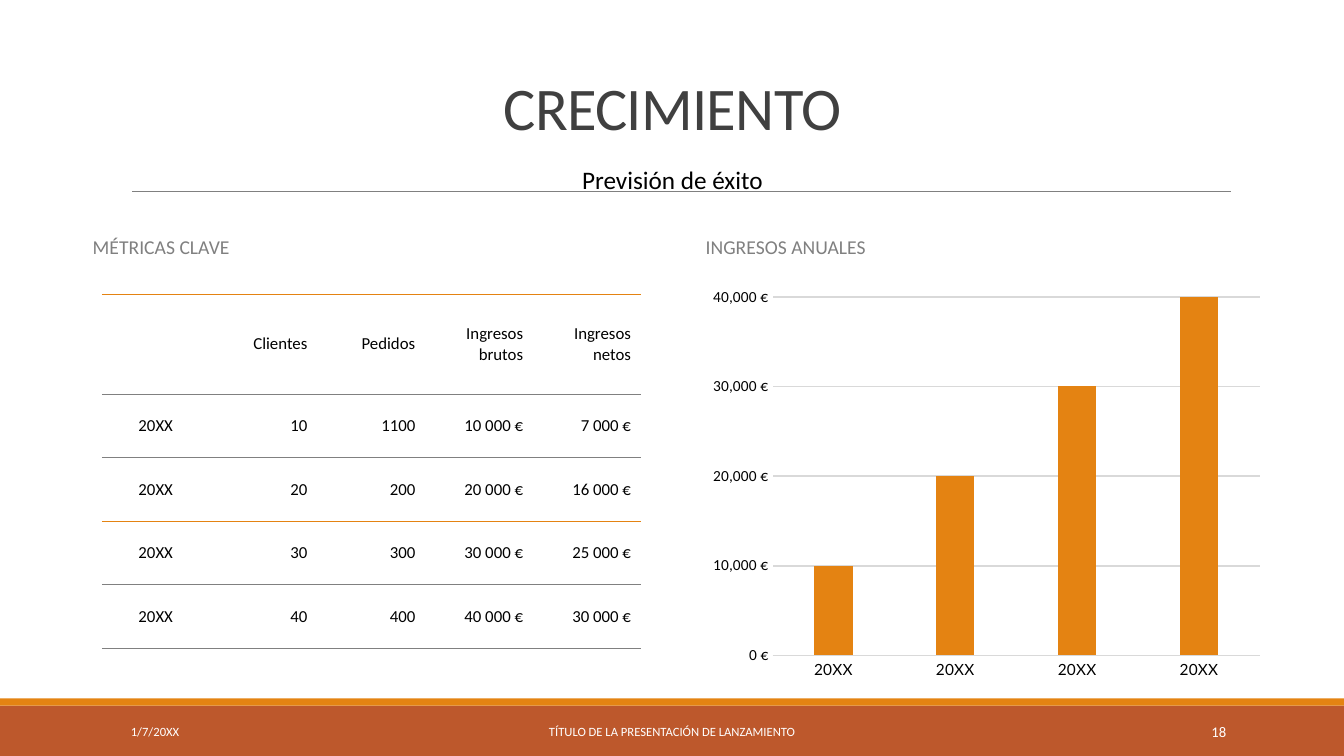
from dataclasses import dataclass
from typing import Optional, Union

from lxml.etree import SubElement
from pptx import Presentation
from pptx.chart.data import CategoryChartData as ChartData
from pptx.dml.color import RGBColor
from pptx.enum.chart import XL_CHART_TYPE as Kind, XL_TICK_MARK as Tick
from pptx.enum.shapes import MSO_CONNECTOR as Link, MSO_SHAPE as Form
from pptx.enum.text import MSO_ANCHOR as Anchor, PP_ALIGN as Align
from pptx.oxml import parse_xml
from pptx.oxml.ns import nsdecls, qn
from pptx.slide import Slide
from pptx.util import Emu, Length, Pt

PX = 9144
FONT = "Calibri"
ORANGE = RGBColor(0xE4, 0x83, 0x12)
RUST = RGBColor(0xBD, 0x58, 0x2C)
GRAY = RGBColor(0x80, 0x80, 0x80)
DARK = RGBColor(0x40, 0x40, 0x40)
PALE = RGBColor(0xD9, 0xD9, 0xD9)
BLACK = RGBColor(0, 0, 0)
WHITE = RGBColor(0xFF, 0xFF, 0xFF)


def px(num: int) -> Emu:
    """Turn px into EMU."""
    return Emu(num * PX)


@dataclass
class Bar:
    """A full-width footer bar."""
    top: int
    high: int
    color: RGBColor


@dataclass
class Label:
    """A text box with one styled paragraph."""
    text: str
    box: tuple[int, int, int, int]
    size: float
    color: RGBColor
    align: Align = Align.LEFT
    anchor: Anchor = Anchor.MIDDLE
    side: int = 10
    lead: Optional[Union[float, Length]] = None
    after: float = 0
    track: int = 0


BARS = [Bar(700, 50, RUST), Bar(693, 7, ORANGE)]
LABELS = [
    Label("CRECIMIENTO", (172, 77, 990, 70), 43.2, DARK, Align.CENTER,
          Anchor.BOTTOM, lead=0.85, track=-50),
    Label("MÉTRICAS CLAVE", (92, 219, 564, 43), 14, GRAY,
          anchor=Anchor.BOTTOM, side=0, lead=0.9, after=2),
    Label("INGRESOS ANUALES", (700, 219, 474, 43), 14, GRAY,
          anchor=Anchor.BOTTOM, side=0, lead=0.9, after=2),
    Label("1/7/20XX", (120, 706, 270, 40), 9, WHITE),
    Label("TÍTULO DE LA PRESENTACIÓN DE LANZAMIENTO", (403, 706, 527, 40),
          9, WHITE, Align.CENTER),
    Label("18", (1083, 706, 143, 40), 10.5, WHITE, Align.RIGHT),
    Label("Previsión de éxito", (172, 152, 990, 43), 18, BLACK, Align.CENTER,
          Anchor.TOP, side=0, lead=Pt(26), after=2),
]
ROWS = [
    ["", "Clientes", "Pedidos", "Ingresos brutos", "Ingresos netos"],
    ["20XX", "10", "1100", "10 000 €", "7 000 €"],
    ["20XX", "20", "200", "20 000 €", "16 000 €"],
    ["20XX", "30", "300", "30 000 €", "25 000 €"],
    ["20XX", "40", "400", "40 000 €", "30 000 €"],
]
RULES = [ORANGE, GRAY, GRAY, ORANGE, GRAY, GRAY]


def add_bar(slide: Slide, bar: Bar) -> None:
    """Draw a footer bar."""
    shape = slide.shapes.add_shape(
        Form.RECTANGLE, 0, px(bar.top), px(1333), px(bar.high))
    shape.shadow.inherit = False
    shape.fill.solid()
    shape.fill.fore_color.rgb = bar.color
    shape.line.fill.background()


def add_rule(slide: Slide) -> None:
    """Draw the line under the title."""
    rule = slide.shapes.add_connector(
        Link.STRAIGHT, px(131), px(190), px(1221), px(190))
    rule.line.color.rgb = GRAY
    rule.line.width = Pt(0.5)
    SubElement(rule._element.spPr, qn("a:effectLst"))


def add_label(slide: Slide, label: Label) -> None:
    """Draw a text box."""
    frame = slide.shapes.add_textbox(*map(px, label.box)).text_frame
    frame.word_wrap = True
    frame.vertical_anchor = label.anchor
    frame.margin_left = frame.margin_right = px(label.side)
    frame.margin_top = frame.margin_bottom = px(5)
    frame.text = label.text
    para = frame.paragraphs[0]
    para.alignment = label.align
    para.line_spacing = label.lead
    para.space_after = Pt(label.after)
    run = para.runs[0]
    run.font.name = FONT
    run.font.size = Pt(label.size)
    run.font.color.rgb = label.color
    if label.track:
        run._r.get_or_add_rPr().set("spc", str(label.track))


def set_edges(cell, top: RGBColor, base: RGBColor) -> None:
    """Rule a table cell above and below only."""
    props = cell._tc.get_or_add_tcPr()
    edges = {"lnL": None, "lnR": None, "lnT": top, "lnB": base}
    for spot, (tag, color) in enumerate(edges.items()):
        fill = (f'<a:solidFill><a:srgbClr val="{color}"/></a:solidFill>'
                if color else "<a:noFill/>")
        props.insert(spot, parse_xml(
            f'<a:{tag} {nsdecls("a")} w="{Pt(1)}">{fill}</a:{tag}>'))


def add_grid(slide: Slide) -> None:
    """Draw the table of key metrics."""
    table = slide.shapes.add_table(
        len(ROWS), len(ROWS[0]), px(101), px(292), px(535), px(351)).table
    table.first_row = table.horz_banding = False
    for col in table.columns:
        col.width = px(107)
    for i, row in enumerate(ROWS):
        table.rows[i].height = px(63 if i else 99)
        for j, text in enumerate(row):
            cell = table.cell(i, j)
            cell.fill.background()
            set_edges(cell, RULES[i], RULES[i + 1])
            cell.vertical_anchor = Anchor.MIDDLE
            cell.text = text
            para = cell.text_frame.paragraphs[0]
            para.alignment = Align.RIGHT if j else Align.CENTER
            para.font.size = Pt(12)
            for run in para.runs:
                run.font.name = FONT
                run.font.size = Pt(12)
                run.font.color.rgb = BLACK


def set_axis(axis, font: str) -> None:
    """Style the labels and ticks of an axis."""
    axis.major_tick_mark = axis.minor_tick_mark = Tick.NONE
    axis.tick_labels.font.name = font
    axis.tick_labels.font.size = Pt(11)
    axis.tick_labels.font.color.rgb = BLACK


def add_plot(slide: Slide) -> None:
    """Draw the chart of yearly income."""
    data = ChartData()
    data.categories = ["20XX"] * 4
    data.add_series("Series 1", [10000, 20000, 30000, 40000])
    chart = slide.shapes.add_chart(
        Kind.COLUMN_CLUSTERED, px(696), px(277), px(565), px(404), data).chart
    chart.has_legend = chart.has_title = False
    chart.font.name = FONT
    chart.font.size = Pt(10)
    chart.font.color.rgb = BLACK
    plot = chart.plots[0]
    plot.vary_by_categories = False
    plot.gap_width = 219
    plot.overlap = -27
    fill = plot.series[0].format.fill
    fill.solid()
    fill.fore_color.rgb = ORANGE
    cats, vals = chart.category_axis, chart.value_axis
    set_axis(cats, "Lato")
    set_axis(vals, FONT)
    vals.minimum_scale, vals.maximum_scale, vals.major_unit = 0, 40000, 10000
    vals.tick_labels.number_format = '#,##0\\ "€"'
    vals.tick_labels.number_format_is_linked = False
    vals.format.line.fill.background()
    for line in (cats.format.line, vals.major_gridlines.format.line):
        line.color.rgb = PALE
        line.width = Pt(1.25)


def main() -> None:
    """Build and save the growth slide."""
    deck = Presentation()
    deck.slide_width, deck.slide_height = px(1333), px(750)
    slide = deck.slides.add_slide(deck.slide_layouts[6])
    for bar in BARS:
        add_bar(slide, bar)
    add_rule(slide)
    add_grid(slide)
    add_plot(slide)
    for label in LABELS:
        add_label(slide, label)
    deck.save("out.pptx")


if __name__ == "__main__":
    main()
